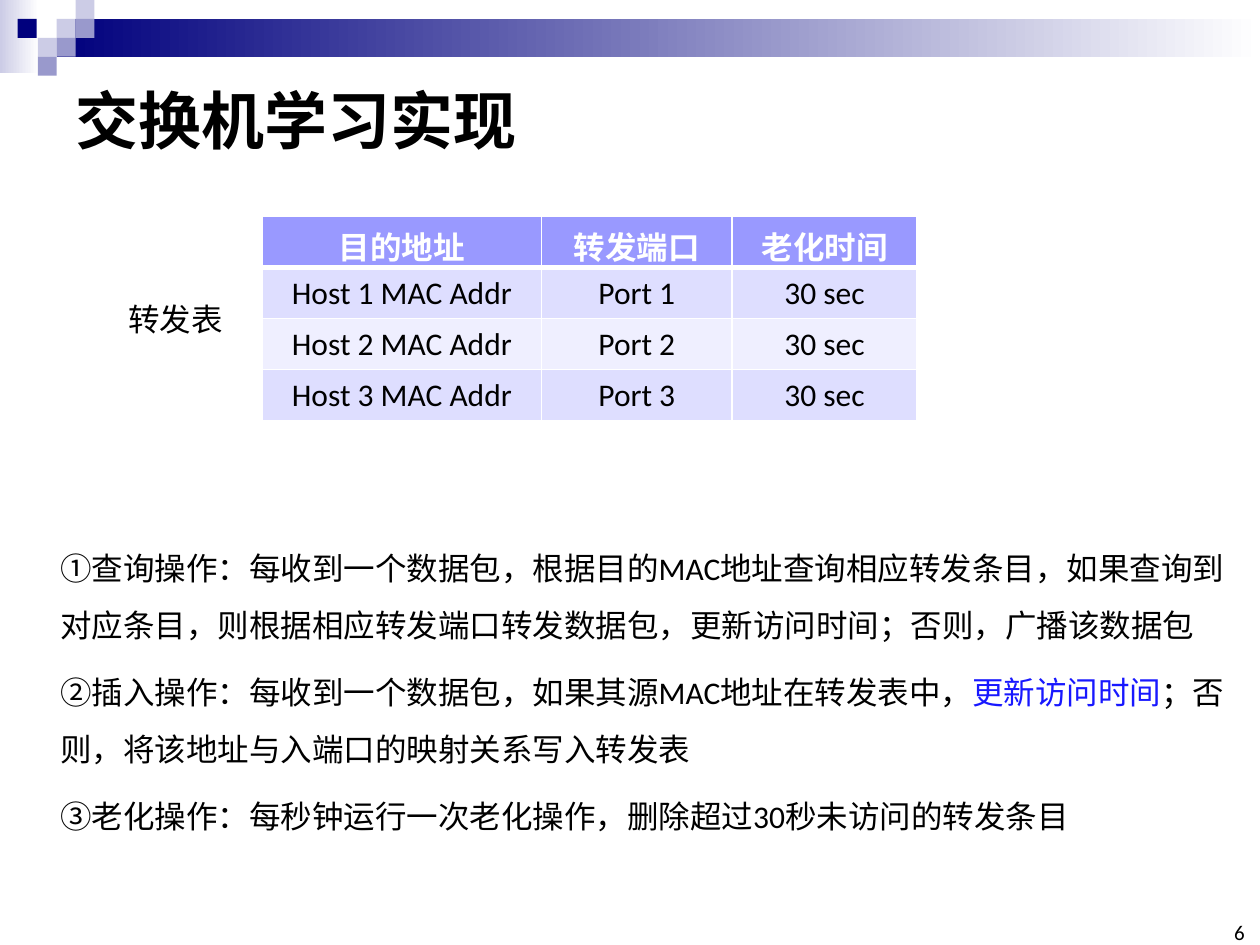
"""Build the slide on how a switch learns its forwarding table."""
from lxml.etree import SubElement
from pptx import Presentation
from pptx.dml.color import RGBColor
from pptx.enum.shapes import MSO_SHAPE
from pptx.enum.text import MSO_ANCHOR, PP_ALIGN
from pptx.oxml.ns import qn
from pptx.util import Inches, Pt

COLORS = {"navy": "00007D", "mid": "9999CC", "pale": "CCCCE6", "white": "FFFFFF",
          "black": "000000", "blue": "1818FF", "header": "9999FF",
          "odd": "DEDEFF", "even": "EFEFFF"}


def format_runs(p, size, color="black", bold=False):
    for r in p.runs:
        r.font.name = "Calibri"
        r.font.size = Pt(size)
        r.font.bold = bold
        r.font.color.rgb = RGBColor.from_string(COLORS[color])


def set_borders(cell, bottom):
    tcPr = cell._tc.get_or_add_tcPr()
    for i, (side, width) in enumerate(zip(("lnL", "lnR", "lnT", "lnB"), (1, 1, 1, bottom))):
        ln = tcPr.makeelement(qn(f"a:{side}"), {"w": str(Pt(width))})
        fill = SubElement(ln, qn("a:solidFill"))
        SubElement(fill, qn("a:srgbClr"), val=COLORS["white"])
        tcPr.insert(i, ln)


prs = Presentation()
prs.slide_width, prs.slide_height = Inches(10), Inches(7.5)
s = prs.slides.add_slide(prs.slide_layouts[5])

decorations = [(0, 0, 0.31, 0.58, "pale", True), (0.45, 0.15, 9.55, 0.3, "navy", True)]
squares = [(0.45, 0.15, "pale"), (0.6, 0, "pale"), (0.6, 0.15, "mid"), (0.3, 0.3, "pale"),
           (0.14, 0.15, "navy"), (0.45, 0.3, "mid"), (0.3, 0.45, "mid")]
decorations += [(x, y, 0.15, 0.15, color, False) for x, y, color in squares]
for x, y, w, h, color, fades in decorations:
    sp = s.shapes.add_shape(MSO_SHAPE.RECTANGLE, Inches(x), Inches(y), Inches(w), Inches(h))
    sp.shadow.inherit = False
    sp.line.fill.background()
    if fades:
        sp.fill.gradient()
        sp.fill.gradient_angle = 0
        for stop, name in zip(sp.fill.gradient_stops, (color, "white")):
            stop.color.rgb = RGBColor.from_string(COLORS[name])
    else:
        sp.fill.solid()
        sp.fill.fore_color.rgb = RGBColor.from_string(COLORS[color])

title = s.shapes.title
title.left, title.top, title.width, title.height = Inches(0.5), Inches(0.5), Inches(9), Inches(0.89)
tf = title.text_frame
tf.text = "交换机学习实现"
tf.vertical_anchor = MSO_ANCHOR.MIDDLE
tf.paragraphs[0].alignment = PP_ALIGN.LEFT
format_runs(tf.paragraphs[0], 36, bold=True)

number = s.shapes.add_textbox(Inches(9.65), Inches(7.33), Inches(0.23), Inches(0.17))
tf = number.text_frame
tf.text = "6"
tf.margin_left = tf.margin_right = tf.margin_top = tf.margin_bottom = 0
tf.vertical_anchor = MSO_ANCHOR.BOTTOM
tf.paragraphs[0].alignment = PP_ALIGN.RIGHT
format_runs(tf.paragraphs[0], 12)

rows = [("目的地址", "转发端口", "老化时间")]
rows += [(f"Host {n} MAC Addr", f"Port {n}", "30 sec") for n in (1, 2, 3)]
table = s.shapes.add_table(4, 3, Inches(2.08), Inches(1.72), Inches(5.2), Inches(1.62)).table
for column, width in zip(table.columns, (2.22, 1.51, 1.47)):
    column.width = Inches(width)
for i, values in enumerate(rows):
    is_header = i == 0
    fill = "header" if is_header else "odd" if i % 2 else "even"
    for j, value in enumerate(values):
        cell = table.cell(i, j)
        cell.text = value
        cell.fill.solid()
        cell.fill.fore_color.rgb = RGBColor.from_string(COLORS[fill])
        set_borders(cell, 3 if is_header else 1)
        p = cell.text_frame.paragraphs[0]
        p.alignment = PP_ALIGN.CENTER
        format_runs(p, 18, "white" if is_header else "black", is_header)

label = s.shapes.add_textbox(Inches(0.92), Inches(2.33), Inches(0.96), Inches(0.4))
label.text_frame.text = "转发表"
label.text_frame.word_wrap = False
format_runs(label.text_frame.paragraphs[0], 18)

operations = [
    ["①查询操作：每收到一个数据包，根据目的MAC地址查询相应转发条目，如果查询到对应条目，"
     "则根据相应转发端口转发数据包，更新访问时间；否则，广播该数据包"],
    ["②插入操作：每收到一个数据包，如果其源MAC地址在转发表中，", "更新访问时间",
     "；否则，将该地址与入端口的映射关系写入转发表"],
    ["③老化操作：每秒钟运行一次老化操作，删除超过30秒未访问的转发条目"],
]
tf = s.shapes.add_textbox(Inches(0.38), Inches(4.16), Inches(9.5), Inches(2.49)).text_frame
tf.word_wrap = True
for i, parts in enumerate(operations):
    p = tf.add_paragraph() if i else tf.paragraphs[0]
    p.line_spacing = 1.5
    p.space_before = Pt(6)
    for part in parts:
        p.add_run().text = part
    format_runs(p, 18)
tf.paragraphs[1].runs[1].font.color.rgb = RGBColor.from_string(COLORS["blue"])

prs.save("out.pptx")
